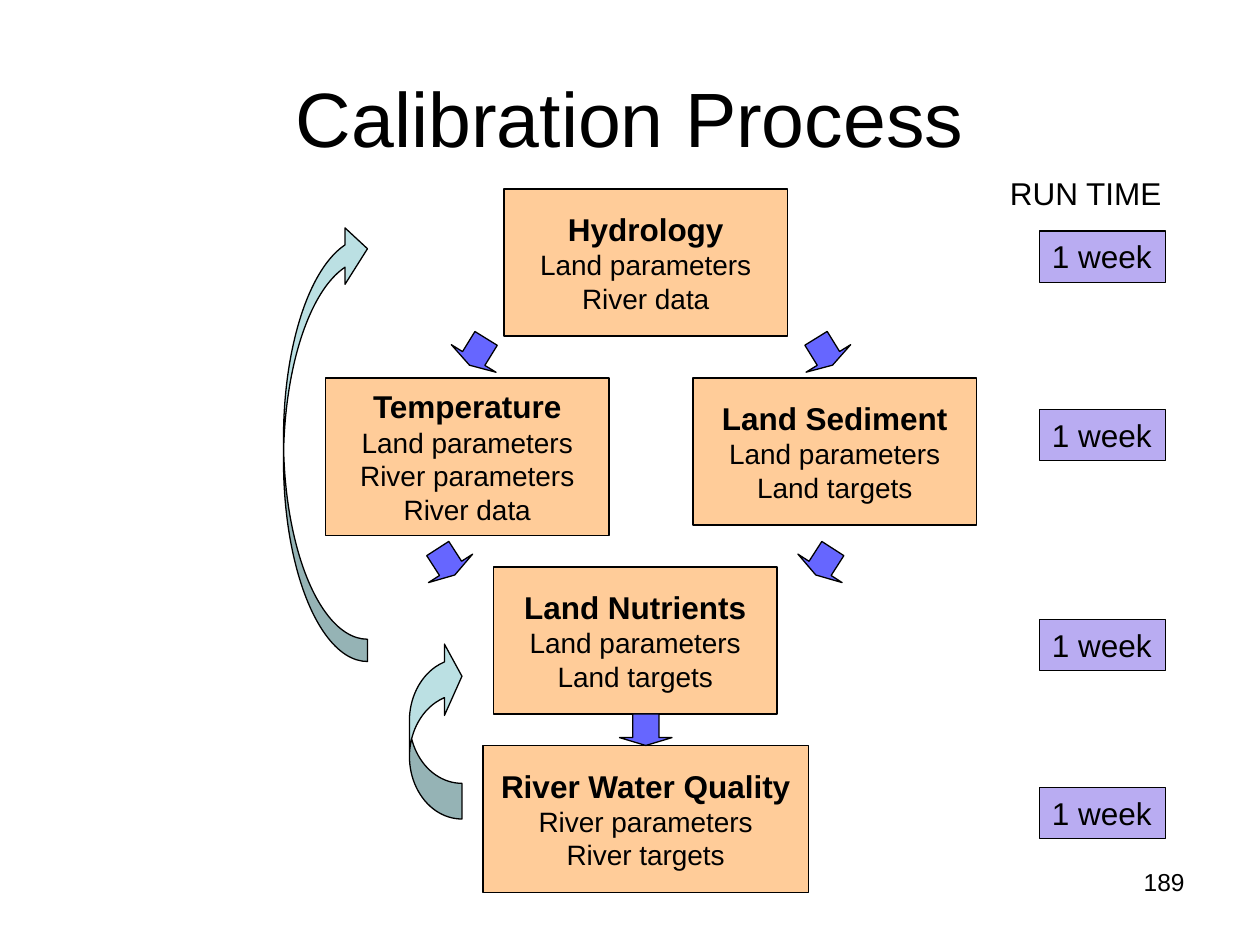
from pptx import Presentation
from pptx.dml.color import RGBColor
from pptx.enum import shapes, text
from pptx.util import Pt

FONT = "Arial"
INK = {"black": "000000", "step": "FFCC99", "flow": "6666FF",
       "loop": "BBE0E3", "time": "B9ACF2"}
KIND = shapes.MSO_SHAPE
ALIGN = text.PP_ALIGN
MID = text.MSO_ANCHOR.MIDDLE

# heading, detail lines, left, top, width, height
STEPS = [
    ("Hydrology", ["Land parameters", "River data"], 288, 108, 162, 84),
    ("Temperature", ["Land parameters", "River parameters", "River data"],
     186, 216, 162, 90),
    ("Land Sediment", ["Land parameters", "Land targets"], 396, 216, 162, 84),
    ("Land Nutrients", ["Land parameters", "Land targets"], 282, 324, 162, 84),
    ("River Water Quality", ["River parameters", "River targets"],
     276, 426, 186, 84),
]
# left, top, turn in degrees
FLOWS = [(264, 186, 121.7), (462, 186, 58.3), (246, 306, 57.2),
         (462, 306, 122.8), (360, 402, 90)]
TIMES = [132, 234, 354, 450]


def add_run(para, words, size, bold=False):
    run = para.add_run()
    run.text = words
    font = run.font
    font.name, font.size, font.bold = FONT, Pt(size), bold
    font.color.rgb = RGBColor.from_string(INK["black"])


def add_block(slide, kind, box, fill, turn=0, adj=()):
    """Add an outlined preset shape; box is left, top, width, height."""
    block = slide.shapes.add_shape(kind, *map(Pt, box))
    block.shadow.inherit = False
    block.fill.solid()
    block.fill.fore_color.rgb = RGBColor.from_string(INK[fill])
    block.line.color.rgb = RGBColor.from_string(INK["black"])
    block.line.width = Pt(0.75)
    block.rotation = turn
    for i, value in enumerate(adj):
        block.adjustments[i] = value
    return block


def add_step(slide, head, lines, *box):
    frame = add_block(slide, KIND.FLOWCHART_PROCESS, box, "step").text_frame
    frame.word_wrap = False
    frame.vertical_anchor = MID
    for i, words in enumerate([head] + lines):
        para = frame.add_paragraph() if i else frame.paragraphs[0]
        para.alignment = ALIGN.CENTER
        add_run(para, words, 16 if i else 18, bold=not i)


def add_time(slide, top):
    box = (594, top, 72, 29.3)
    frame = add_block(slide, KIND.RECTANGLE, box, "time").text_frame
    frame.word_wrap = False
    frame.vertical_anchor = text.MSO_ANCHOR.TOP
    frame.auto_size = text.MSO_AUTO_SIZE.SHAPE_TO_FIT_TEXT
    para = frame.paragraphs[0]
    para.alignment = ALIGN.LEFT
    add_run(para, "1 week", 18)


def add_label(slide, words, size, box, align, wrap):
    frame = slide.shapes.add_textbox(*map(Pt, box)).text_frame
    frame.word_wrap = wrap
    para = frame.paragraphs[0]
    para.alignment = align
    add_run(para, words, size)


def set_title(slide, words):
    title = slide.shapes.title
    title.left, title.top, title.width, title.height = map(
        Pt, (36, 21.6, 648, 90))
    title.text_frame.vertical_anchor = MID
    para = title.text_frame.paragraphs[0]
    para.alignment = ALIGN.CENTER
    add_run(para, words, 44)


def add_loops(slide):
    add_block(slide, KIND.CURVED_LEFT_ARROW, (162, 126, 48, 252), "loop",
              180, (0.265, 0.672, 0.268))
    short = add_block(slide, KIND.CURVED_RIGHT_ARROW, (234, 366, 30, 102),
                      "loop", 180, (0.68, 1.36, 0.333))
    short.element.spPr.xfrm.set("flipH", "1")


def main():
    deck = Presentation()
    deck.slide_width, deck.slide_height = Pt(720), Pt(540)
    slide = deck.slides.add_slide(deck.slide_layouts[5])
    set_title(slide, "Calibration Process")
    add_label(slide, "189", 14, (516, 492, 168, 37.5), ALIGN.RIGHT, True)
    for step in STEPS:
        add_step(slide, *step)
    for left, top, turn in FLOWS:
        add_block(slide, KIND.RIGHT_ARROW, (left, top, 18, 30), "flow",
                  turn, (0.5, 0.25))
    add_loops(slide)
    for top in TIMES:
        add_time(slide, top)
    add_label(slide, "RUN TIME", 18, (570, 96, 101.5, 29), ALIGN.LEFT, False)
    deck.save("out.pptx")


if __name__ == "__main__":
    main()
